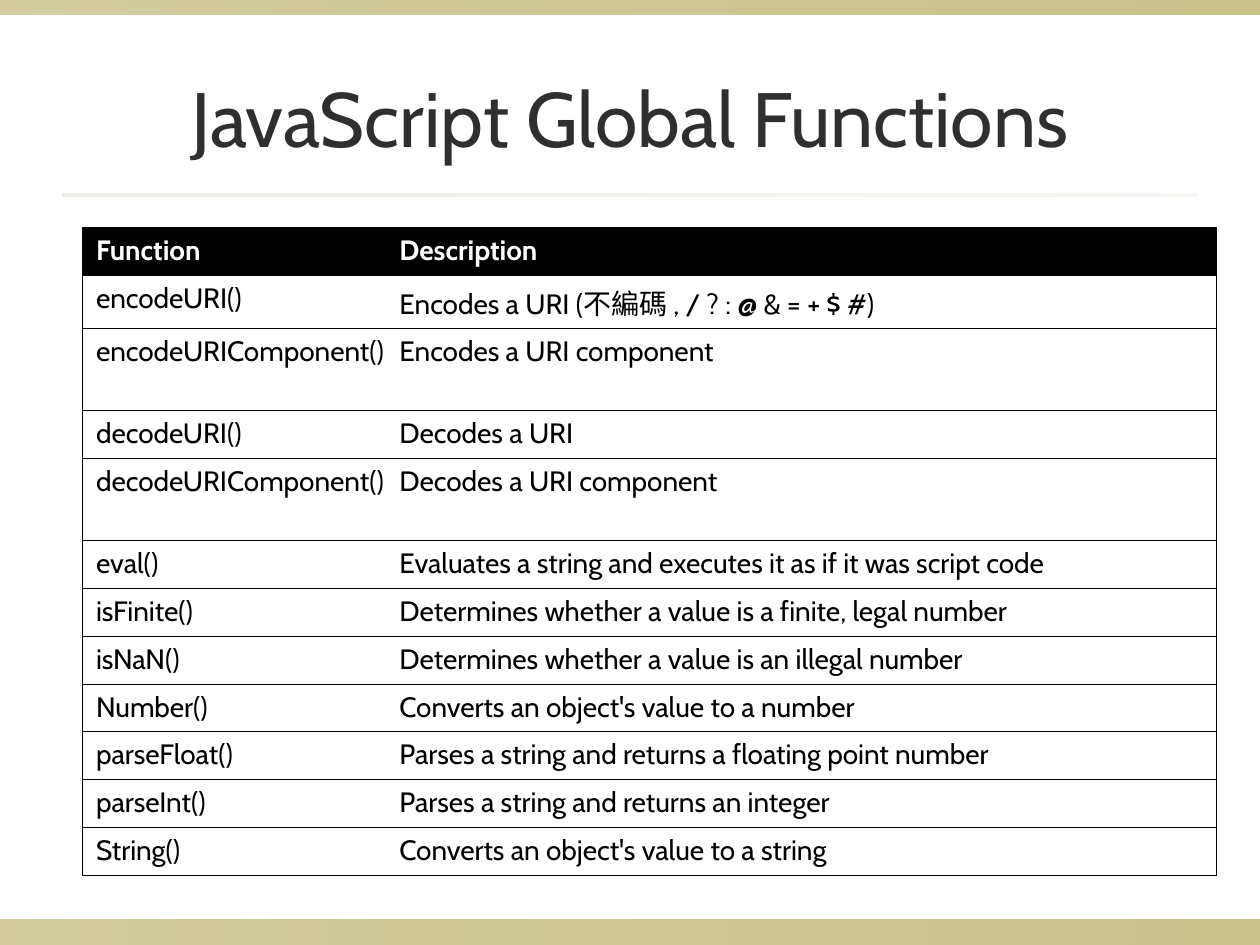
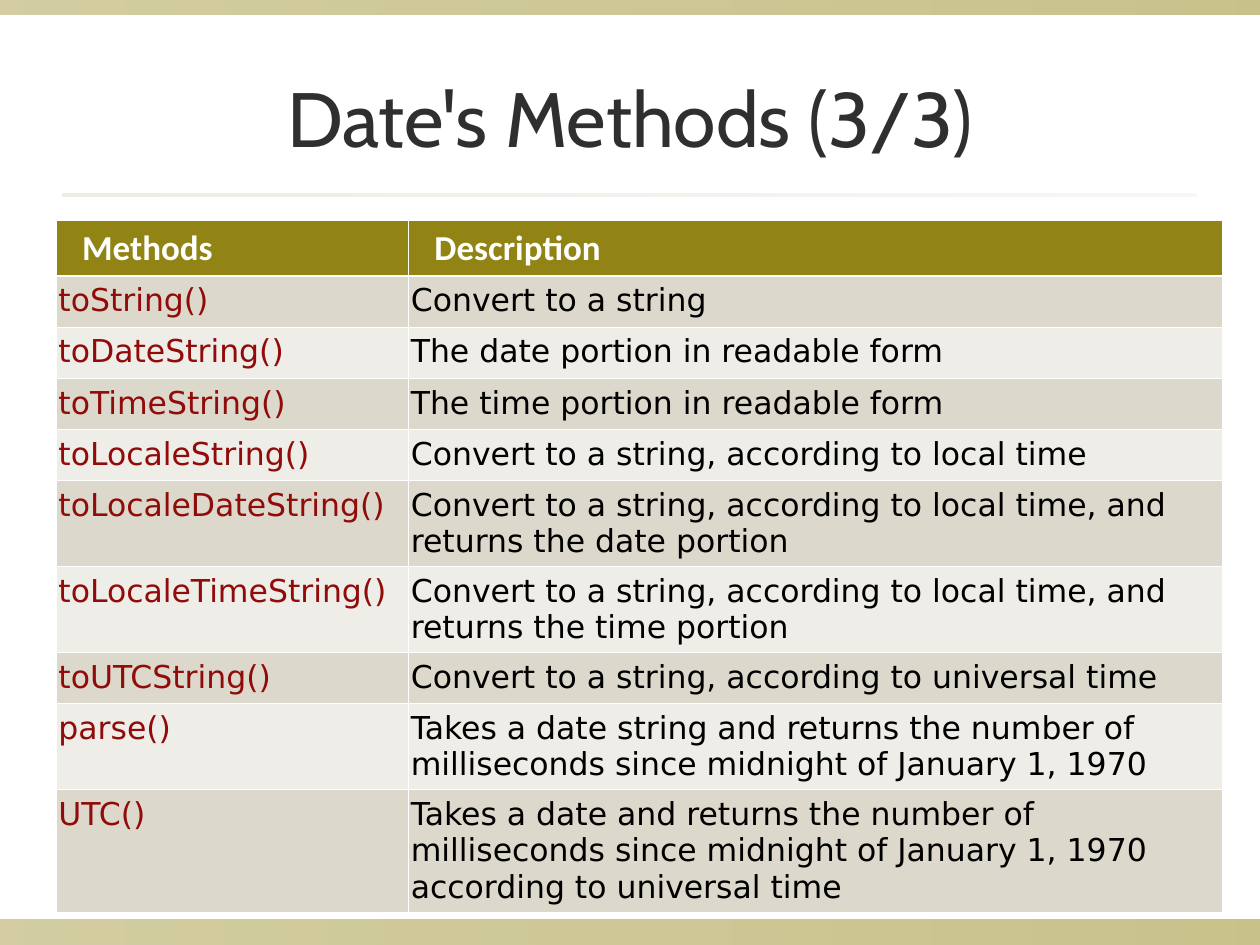
import dataclasses

import pptx
import pptx.dml.color
import pptx.enum.shapes
import pptx.enum.text
import pptx.oxml
import pptx.oxml.ns
import pptx.util
import lxml.etree

Pt = pptx.util.Pt
qn = pptx.oxml.ns.qn


@dataclasses.dataclass(frozen=True)
class Theme:
    """Colours, fonts and type sizes of the deck."""
    olive: str = "918415"
    sand: str = "DCD9CC"
    pale_sand: str = "EEEDE7"
    charcoal: str = "2F2F2F"
    maroon: str = "900B09"
    black: str = "000000"
    white: str = "FFFFFF"
    main_font: str = "Cabin"
    header_font: str = "Calibri"
    method_font: str = "DejaVu Sans"
    title_size: int = 44
    method_header_size: int = 20
    method_size: int = 18
    function_size: int = 16
    hairline: float = 0.45
    header_rule: float = 1.5


THEME = Theme()
WIDTH, HEIGHT = 720, 540

FUNCTIONS = [
    ("Function", "Description"),
    ("encodeURI()", "Encodes a URI (不編碼 , / ? : @ & = + $ #)"),
    ("encodeURIComponent()", "Encodes a URI component"),
    ("decodeURI()", "Decodes a URI"),
    ("decodeURIComponent()", "Decodes a URI component"),
    ("eval()", "Evaluates a string and executes it as if it was script code"),
    ("isFinite()", "Determines whether a value is a finite, legal number"),
    ("isNaN()", "Determines whether a value is an illegal number"),
    ("Number()", "Converts an object's value to a number"),
    ("parseFloat()", "Parses a string and returns a floating point number"),
    ("parseInt()", "Parses a string and returns an integer"),
    ("String()", "Converts an object's value to a string"),
]
FUNCTION_HEIGHTS = [27.4, 30.3, 46.8, 27.4, 46.8] + [27.4] * 7

METHODS = [
    ("Methods", "Description"),
    ("toString()", "Convert to a string"),
    ("toDateString()", "The date portion in readable form"),
    ("toTimeString()", "The time portion in readable form"),
    ("toLocaleString()", "Convert to a string, according to local time"),
    ("toLocaleDateString()",
     "Convert to a string, according to local time, and returns the date portion"),
    ("toLocaleTimeString()",
     "Convert to a string, according to local time, and returns the time portion"),
    ("toUTCString()", "Convert to a string, according to universal time"),
    ("parse()", "Takes a date string and returns the number of milliseconds "
                "since midnight of January 1, 1970"),
    ("UTC()", "Takes a date and returns the number of milliseconds since midnight "
              "of January 1, 1970 according to universal time"),
]
ONE_LINE, TWO_LINES, THREE_LINES = 29.2, 49.1, 70
METHOD_HEIGHTS = [31.2, *[ONE_LINE] * 4, TWO_LINES, TWO_LINES, ONE_LINE,
                  TWO_LINES, THREE_LINES]


def rgb(color):
    return pptx.dml.color.RGBColor.from_string(color)


def write(frame, text, *, font, size, color, bold=False, align="LEFT"):
    """Put one formatted paragraph into a text frame."""
    frame.word_wrap = True
    paragraph = frame.paragraphs[0]
    paragraph.alignment = getattr(pptx.enum.text.PP_ALIGN, align)
    run = paragraph.add_run()
    run.text = text
    run.font.name, run.font.size, run.font.bold = font, Pt(size), bold
    run.font.color.rgb = rgb(color)


def set_borders(cell, **sides):
    """Give L, R, T and B a (colour, width) pair; other sides get no line."""
    properties = cell._tc.get_or_add_tcPr()
    for place, side in enumerate("LRTB"):
        line = lxml.etree.Element(qn(f"a:ln{side}"))
        if side in sides:
            color, width = sides[side]
            line.set("w", str(Pt(width)))
            solid = lxml.etree.SubElement(line, qn("a:solidFill"))
            lxml.etree.SubElement(solid, qn("a:srgbClr"), val=color)
        else:
            lxml.etree.SubElement(line, qn("a:noFill"))
        properties.insert(place, line)


class Deck:
    """Holds the theme, the presentation and the current slide."""

    def __init__(self, theme):
        self.theme = theme
        self.presentation = pptx.Presentation()
        self.presentation.slide_width = Pt(WIDTH)
        self.presentation.slide_height = Pt(HEIGHT)
        self.layout = self.presentation.slide_layouts[5]
        self.slide = None

    def add_slide(self, title):
        self.slide = self.presentation.slides.add_slide(self.layout)
        heading = self.slide.shapes.title
        heading.left, heading.top = Pt(36), Pt(21.6)
        heading.width, heading.height = Pt(648), Pt(90)
        heading.text_frame.vertical_anchor = pptx.enum.text.MSO_ANCHOR.MIDDLE
        write(heading.text_frame, title, font=self.theme.main_font,
              size=self.theme.title_size, color=self.theme.charcoal, align="CENTER")

    def add_layout_band(self, left, top, width, height, color, opacities):
        """Draw a see-through gradient band and move it to the shared layout."""
        band = self.slide.shapes.add_shape(
            pptx.enum.shapes.MSO_SHAPE.RECTANGLE,
            Pt(left), Pt(top), Pt(width), Pt(height))
        band.shadow.inherit = False
        band.line.fill.background()
        band.fill.gradient()
        band.fill.gradient_angle = 0
        for stop, position in zip(band.fill.gradient_stops, (0, 1)):
            stop.position = position
            stop.color.rgb = rgb(color)
        for shade, opacity in zip(band.element.iter(qn("a:srgbClr")), opacities):
            lxml.etree.SubElement(shade, qn("a:alpha"), val=str(opacity * 1000))
        self.layout.shapes.element.append(band.element)

    def add_table(self, left, top, widths, heights, rows, style):
        """Build a table; style(row, column) gives each cell's look."""
        table = self.slide.shapes.add_table(
            len(rows), len(widths), Pt(left), Pt(top),
            Pt(sum(widths)), Pt(sum(heights))).table
        table.first_row = table.horz_banding = False
        for column, width in zip(table.columns, widths):
            column.width = Pt(width)
        for r, (height, texts) in enumerate(zip(heights, rows)):
            table.rows[r].height = Pt(height)
            for c, text in enumerate(texts):
                look = style(r, c)
                cell = table.cell(r, c)
                cell.margin_left, cell.margin_right = map(Pt, look["margins"])
                cell.margin_top = cell.margin_bottom = Pt(3.6)
                cell.fill.solid()
                cell.fill.fore_color.rgb = rgb(look["fill"])
                write(cell.text_frame, text, **look["text"])
                set_borders(cell, **look["borders"])


def function_style(row, column):
    """Black header, white rows, lines around each row."""
    header = row == 0
    line = (THEME.black, THEME.hairline)
    return {
        "margins": (4.3 if column else 7.9, 4.3),
        "fill": THEME.black if header else THEME.white,
        "text": dict(font=THEME.main_font, size=THEME.function_size, bold=header,
                     color=THEME.white if header else THEME.black),
        "borders": {"T": line, "B": line, "R" if column else "L": line},
    }


def method_style(row, column):
    """Olive header, sand-coloured banding, white grid."""
    line = (THEME.white, THEME.hairline)
    thick = (THEME.white, THEME.header_rule)
    borders = dict(L=line, R=line, T=thick if row == 1 else line,
                   B=thick if row == 0 else line)
    if row == 0:
        return {
            "margins": (14.9, 1.4), "fill": THEME.olive, "borders": borders,
            "text": dict(font=THEME.header_font, size=THEME.method_header_size,
                         color=THEME.white, bold=True),
        }
    return {
        "margins": (1.4, 1.4), "borders": borders,
        "fill": THEME.sand if row % 2 else THEME.pale_sand,
        "text": dict(font=THEME.method_font, size=THEME.method_size,
                     color=THEME.black if column else THEME.maroon),
    }


def main():
    deck = Deck(THEME)

    # Global functions, with the bands and title rule all slides share
    deck.add_slide("JavaScript Global Functions")
    deck.add_layout_band(0, 525.6, WIDTH, 14.4, THEME.olive, (40, 50))
    deck.add_layout_band(0, 0, WIDTH, 8.6, THEME.olive, (40, 50))
    deck.add_layout_band(36, 110.8, 648, 1.5, THEME.sand, (50, 20))
    deck.add_table(47, 130, (177, 471), FUNCTION_HEIGHTS, FUNCTIONS, function_style)

    # Date methods
    deck.add_slide("Date's Methods (3/3)")
    deck.add_table(32, 126.2, (201.4, 465), METHOD_HEIGHTS, METHODS, method_style)

    deck.presentation.save("out.pptx")


if __name__ == "__main__":
    main()
